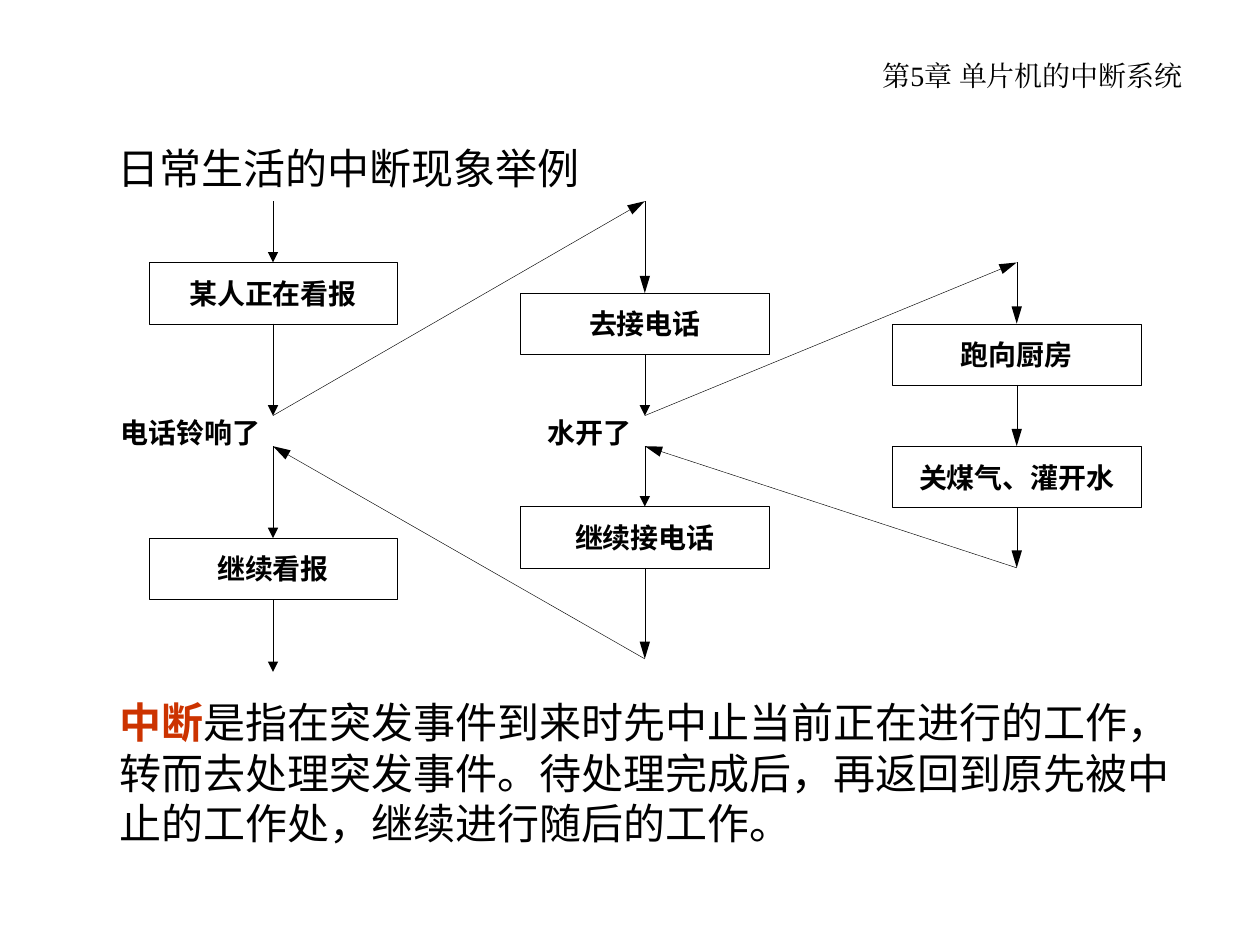
from pptx import Presentation
from pptx.dml.color import RGBColor
from pptx.enum.shapes import MSO_CONNECTOR as CONNECTOR, MSO_SHAPE as SHAPE
from pptx.enum.text import MSO_ANCHOR as ANCHOR, PP_ALIGN as ALIGN
from pptx.oxml.ns import qn
from pptx.util import Pt
from lxml.etree import SubElement

BLACK = RGBColor(0x00, 0x00, 0x00)
RED = RGBColor(0xCC, 0x33, 0x00)

BODY_FONT = "DejaVu Sans"
LABEL_FONT = "Noto Sans CJK SC"
CHAPTER_FONT = "Times New Roman"

BOX_WIDTH, BOX_HEIGHT = 142, 35
READING, PHONE, KITCHEN = 156, 368.5, 581  # centre line of each activity
INTERRUPTED, RESUMED = 237.5, 255  # heights where an activity stops and goes on

BOXES = [
    (READING, 150, "某人正在看报"),
    (READING, 307.5, "继续看报"),
    (PHONE, 167.5, "去接电话"),
    (PHONE, 289.5, "继续接电话"),
    (KITCHEN, 185, "跑向厨房"),
    (KITCHEN, 255, "关煤气、灌开水"),
]
# Centre line, start, end, length of the arrowhead
STEPS = [
    (READING, 115, 150, "med"),
    (READING, 185, INTERRUPTED, "med"),
    (READING, RESUMED, 307.5, "med"),
    (READING, 342.5, 384, "med"),
    (PHONE, 115, 167.5, "lg"),
    (PHONE, 202.5, INTERRUPTED, "med"),
    (PHONE, RESUMED, 289.5, "med"),
    (PHONE, 324.5, 376.5, "lg"),
    (KITCHEN, 150, 185, "lg"),
    (KITCHEN, 220, 255, "lg"),
    (KITCHEN, 290, 324.5, "lg"),
]
# Interrupted activity, interrupting activity, its first and last height
INTERRUPTS = [
    (READING, PHONE, 115, 376.5),
    (PHONE, KITCHEN, 150, 324.5),
]


class FlowSlide:
    def __init__(self, slide):
        self.slide = slide
        self.shapes = slide.shapes

    def style(self, run, font, size, bold=False, color=BLACK):
        run.font.name = font
        run.font.size = Pt(size)
        run.font.bold = bold
        run.font.color.rgb = color
        SubElement(run.font._element, qn("a:ea"), typeface=font)

    def title(self, text, left, top, width, height):
        heading = self.shapes.title
        heading.left, heading.top = Pt(left), Pt(top)
        heading.width, heading.height = Pt(width), Pt(height)
        frame = heading.text_frame
        frame.text = text
        frame.vertical_anchor = ANCHOR.MIDDLE
        frame.paragraphs[0].alignment = ALIGN.LEFT
        self.style(frame.paragraphs[0].runs[0], BODY_FONT, 24)

    def text(self, text, left, top, width, height, anchor=ANCHOR.TOP):
        """Add a wrapping text box and return its frame."""
        frame = self.shapes.add_textbox(
            Pt(left), Pt(top), Pt(width), Pt(height)).text_frame
        frame.word_wrap = True
        frame.vertical_anchor = anchor
        frame.text = text
        return frame

    def event(self, text, left, width):
        frame = self.text(text, left, INTERRUPTED, width, 19.5)
        frame.margin_left = frame.margin_right = 0
        frame.margin_top = frame.margin_bottom = 0
        frame.word_wrap = False
        self.style(frame.paragraphs[0].runs[0], LABEL_FONT, 16, bold=True)

    def box(self, center, top, text):
        box = self.shapes.add_shape(
            SHAPE.RECTANGLE, Pt(center - BOX_WIDTH / 2), Pt(top),
            Pt(BOX_WIDTH), Pt(BOX_HEIGHT))
        box.shadow.inherit = False
        box.fill.background()
        box.line.color.rgb = BLACK
        box.line.width = Pt(0.25)
        frame = box.text_frame
        frame.text = text
        frame.vertical_anchor = ANCHOR.MIDDLE
        frame.paragraphs[0].alignment = ALIGN.CENTER
        self.style(frame.paragraphs[0].runs[0], LABEL_FONT, 16, bold=True)

    def arrow(self, x1, y1, x2, y2, head="lg"):
        arrow = self.shapes.add_connector(
            CONNECTOR.STRAIGHT, Pt(x1), Pt(y1), Pt(x2), Pt(y2))
        arrow.line.color.rgb = BLACK
        arrow.line.width = Pt(0.25)
        properties = arrow._element.spPr
        SubElement(properties.find(qn("a:ln")), qn("a:tailEnd"),
                   type="triangle", w="med", len=head)
        SubElement(properties, qn("a:effectLst"))


def main():
    deck = Presentation()
    deck.slide_width, deck.slide_height = Pt(720), Pt(540)
    flow = FlowSlide(deck.slides.add_slide(deck.slide_layouts[5]))

    flow.title("日常生活的中断现象举例", 60, 78, 606, 36)

    chapter = flow.text("第5章 单片机的中断系统", 487, 30, 206, 27).paragraphs[0]
    chapter.alignment = ALIGN.CENTER
    flow.style(chapter.runs[0], CHAPTER_FONT, 16)

    for center, top, text in BOXES:
        flow.box(center, top, text)
    for center, start, end, head in STEPS:
        flow.arrow(center, start, center, end, head)
    for activity, interrupt, first, last in INTERRUPTS:
        flow.arrow(activity, INTERRUPTED, interrupt, first)
        flow.arrow(interrupt, last, activity, RESUMED)
    flow.event("电话铃响了", 69, 80)
    flow.event("水开了", 313, 48)

    definition = flow.text(
        "中断", 61, 394.5, 621.5, 93.5, ANCHOR.MIDDLE).paragraphs[0]
    flow.style(definition.runs[0], BODY_FONT, 24, bold=True, color=RED)
    meaning = definition.add_run()
    meaning.text = ("是指在突发事件到来时先中止当前正在进行的工作，转而去处理突发事件。"
                    "待处理完成后，再返回到原先被中止的工作处，继续进行随后的工作。")
    flow.style(meaning, BODY_FONT, 24)

    deck.save("out.pptx")


if __name__ == "__main__":
    main()
